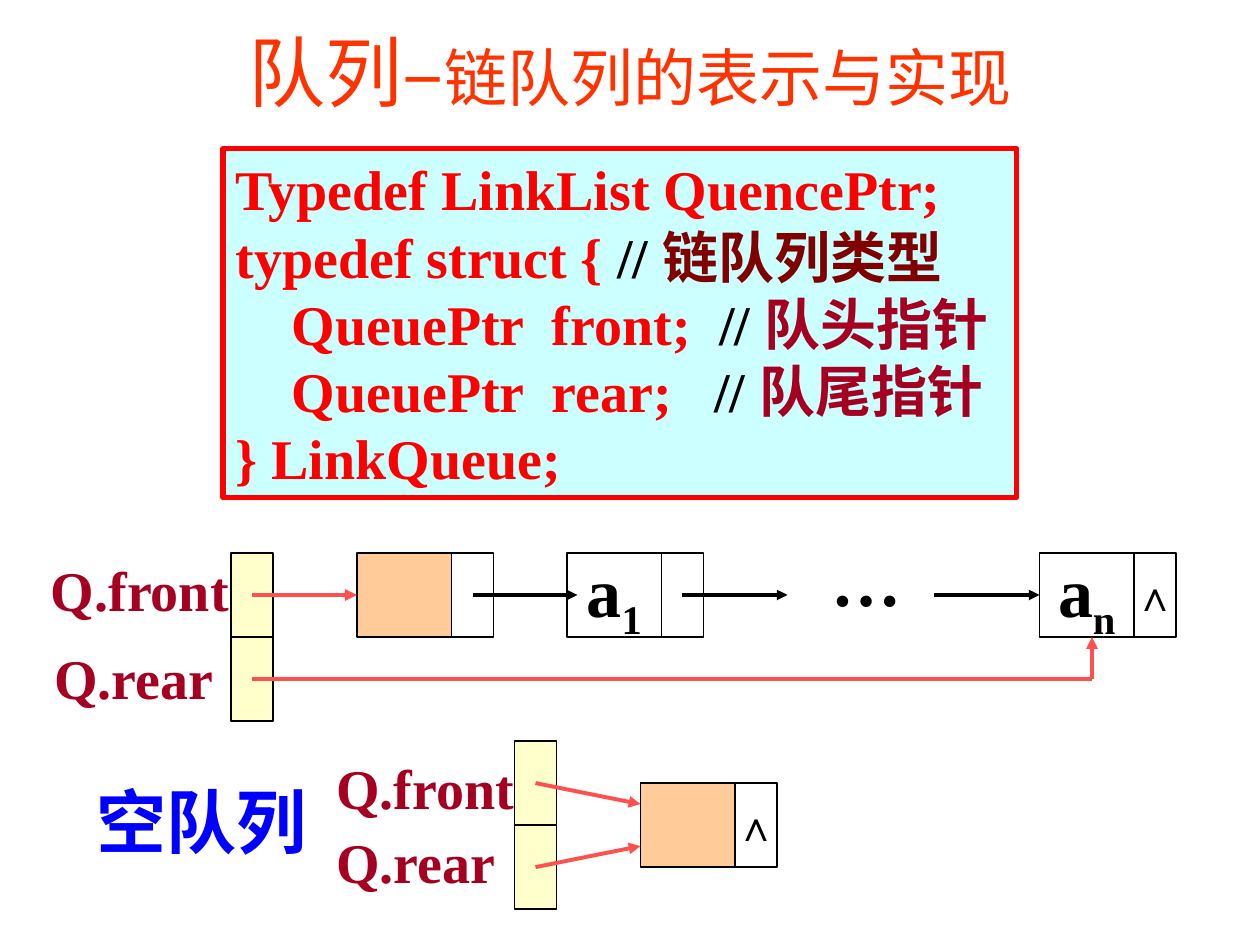
from dataclasses import dataclass

from lxml.etree import SubElement
from pptx import Presentation
from pptx.dml.color import RGBColor
from pptx.enum.shapes import MSO_CONNECTOR, MSO_SHAPE
from pptx.enum.text import MSO_ANCHOR as Anchor, MSO_AUTO_SIZE as AutoSize, PP_ALIGN as Align
from pptx.oxml.ns import qn
from pptx.util import Pt


@dataclass(frozen=True)
class Theme:
    font: str = "Times New Roman"
    title: str = "FF3300"
    code: str = "FF0000"
    code_fill: str = "CCFFFF"
    type_note: str = "800000"
    label: str = "A50021"
    heading: str = "0000FF"
    ink: str = "000000"
    pointer_fill: str = "FFFFCC"
    head_fill: str = "FFCC99"
    pointer_line: str = "FF5050"
    title_size: int = 44
    subtitle_size: int = 36
    large: int = 40
    body: int = 32
    small: int = 24


THEME = Theme()
POINTER_WIDTH, DATA_WIDTH, CELL_HEIGHT = 24, 54, 48
LINK = 60  # usual arrow length


def color(value):
    return RGBColor.from_string(value)


def write(shape, paragraphs, size, bold=True, frame_format=None, paragraph_format=None):
    """Fill a shape; each run is (text, colour) plus optional font size or baseline."""
    frame = shape.text_frame
    for name, value in {"word_wrap": False, **(frame_format or {})}.items():
        setattr(frame, name, value)
    for index, runs in enumerate(paragraphs):
        paragraph = frame.paragraphs[0] if index == 0 else frame.add_paragraph()
        for name, value in (paragraph_format or {}).items():
            setattr(paragraph, name, value)
        for text, ink, *options in runs:
            options = options[0] if options else {}
            run = paragraph.add_run()
            run.text = text
            font_format = {"name": THEME.font, "size": Pt(options.get("size", size)), "bold": bold}
            for name, value in font_format.items():
                setattr(run.font, name, value)
            run.font.color.rgb = color(ink)
            if "baseline" in options:
                run.font._element.set("baseline", str(options["baseline"]))


def add_text(slide, box, paragraphs, size, **formats):
    shape = slide.shapes.add_textbox(*map(Pt, box))
    write(shape, paragraphs, size, **formats)
    return shape


def add_box(slide, box, fill=None, line=THEME.ink, weight=0.75):
    shape = slide.shapes.add_shape(MSO_SHAPE.RECTANGLE, *map(Pt, box))
    shape.shadow.inherit = False
    if fill:
        shape.fill.solid()
        shape.fill.fore_color.rgb = color(fill)
    else:
        shape.fill.background()
    shape.line.color.rgb = color(line)
    shape.line.width = Pt(weight)
    return shape


def add_line(slide, start, end, ink=THEME.ink, weight=2, arrow=True, target=None):
    """Draw a line; a target is met at the middle of its left side."""
    line = slide.shapes.add_connector(MSO_CONNECTOR.STRAIGHT, *map(Pt, (*start, *end)))
    line.line.color.rgb = color(ink)
    line.line.width = Pt(weight)
    if arrow:
        SubElement(line.line._get_or_add_ln(), qn("a:tailEnd"), type="triangle")
    SubElement(line._element.spPr, qn("a:effectLst"))
    if target is not None:
        line.end_connect(target, 1)


def add_node(slide, left, top, fill=None, index=None, last=False):
    """Draw a data cell followed by its pointer cell, and return the data cell."""
    pointer = add_box(slide, (left + DATA_WIDTH, top, POINTER_WIDTH, CELL_HEIGHT))
    data = add_box(slide, (left, top, DATA_WIDTH, CELL_HEIGHT), fill)
    centred = {"frame_format": {"vertical_anchor": Anchor.MIDDLE},
               "paragraph_format": {"alignment": Align.CENTER}}
    if index:
        runs = [("a", THEME.ink), (index, THEME.ink, {"baseline": -25000})]
        write(data, [runs], THEME.large, **centred)
    if last:
        write(pointer, [[("∧", THEME.ink)]], THEME.small, **centred)
    return data


def add_pointers(slide, left, top):
    """Draw the front and rear cells, and return the centre of each."""
    tops = (top, top + CELL_HEIGHT)
    for cell_top in tops:
        add_box(slide, (left, cell_top, POINTER_WIDTH, CELL_HEIGHT), THEME.pointer_fill)
    return [(left + POINTER_WIDTH / 2, cell_top + CELL_HEIGHT / 2) for cell_top in tops]


def add_title(slide, box):
    runs = [("队列–", THEME.title),
            ("链队列的表示与实现", THEME.title, {"size": THEME.subtitle_size})]
    add_text(slide, box, [runs], THEME.title_size, bold=False,
             frame_format={"word_wrap": True, "vertical_anchor": Anchor.MIDDLE},
             paragraph_format={"alignment": Align.CENTER})


def add_code(slide, box):
    code, ink, note = THEME.code, THEME.ink, THEME.label
    lines = [
        [("Typedef LinkList QuencePtr;", code)],
        [("typedef struct {", code), (" // ", ink), ("链队列类型", THEME.type_note)],
        [("    ", ink), ("QueuePtr  front;", code), ("  // ", ink), ("队头指针", note)],
        [("    ", ink), ("QueuePtr  rear;", code), ("   // ", ink), ("队尾指针", note)],
        [("} LinkQueue;", code)],
    ]
    shape = add_box(slide, box, THEME.code_fill, THEME.code, 3)
    write(shape, lines, THEME.body,
          frame_format={"auto_size": AutoSize.SHAPE_TO_FIT_TEXT, "vertical_anchor": Anchor.TOP},
          paragraph_format={"alignment": Align.LEFT})


def add_linked_queue(slide, box):
    left, top, width, height = box
    middle = top + CELL_HEIGHT / 2
    pointer_left = left + 110
    head_left = pointer_left + POINTER_WIDTH / 2 + LINK
    first_left = head_left + 120
    last_left = left + width - DATA_WIDTH - POINTER_WIDTH

    # Pointers and their labels
    front, rear = add_pointers(slide, pointer_left, top)
    add_text(slide, (left, top - 6, 117, 50), [[("Q.front", THEME.label)]], THEME.body,
             paragraph_format={"line_spacing": 1.1})
    add_text(slide, (left + 2, top + CELL_HEIGHT, 106, 46), [[("Q.rear", THEME.label)]], THEME.body)

    # Chain of nodes
    head = add_node(slide, head_left, top, THEME.head_fill)
    add_node(slide, first_left, top, index="1")
    last = add_node(slide, last_left, top, index="n", last=True)
    add_text(slide, (last_left - 126, top - 13, 66, 55), [[("…", THEME.ink)]], THEME.large,
             frame_format={"word_wrap": True})
    for node_left in (head_left, first_left):
        start = node_left + DATA_WIDTH + POINTER_WIDTH / 2
        add_line(slide, (start, middle), (start + LINK, middle))
    add_line(slide, (last_left - LINK, middle), (last_left, middle), target=last)

    # Front and rear links
    style = {"ink": THEME.pointer_line, "weight": 2.25}
    add_line(slide, front, (head_left, middle), target=head, **style)
    corner = (last_left + 30, rear[1])
    add_line(slide, rear, corner, arrow=False, **style)
    add_line(slide, corner, (corner[0], top + CELL_HEIGHT), **style)


def add_empty_queue(slide, box):
    left, top, width, height = box
    add_text(slide, (left, top + 18, 143, 55), [[("空队列", THEME.heading)]], THEME.large,
             frame_format={"word_wrap": True})
    labels = [[(name, THEME.label)] for name in ("Q.front", "Q.rear")]
    add_text(slide, (left + 137, top, 117, 92), labels, THEME.body,
             paragraph_format={"line_spacing": 1.1})
    node_left = left + width - DATA_WIDTH - POINTER_WIDTH
    pointers = add_pointers(slide, node_left - LINK - POINTER_WIDTH / 2, top)
    node_top = top + CELL_HEIGHT / 2
    add_node(slide, node_left, node_top, THEME.head_fill, last=True)
    for start, share in zip(pointers, (0.25, 0.75)):
        add_line(slide, start, (node_left, node_top + CELL_HEIGHT * share),
                 THEME.pointer_line, 2.25)


def main():
    presentation = Presentation()
    presentation.slide_width, presentation.slide_height = Pt(720), Pt(540)
    slide = presentation.slides.add_slide(presentation.slide_layouts[6])
    add_title(slide, (54, 4, 612, 73))
    add_code(slide, (127.5, 85, 453.5, 199.5))
    add_linked_queue(slide, (22, 316, 650, 96))
    add_empty_queue(slide, (48, 423.5, 396, 96))
    presentation.save("out.pptx")


if __name__ == "__main__":
    main()
